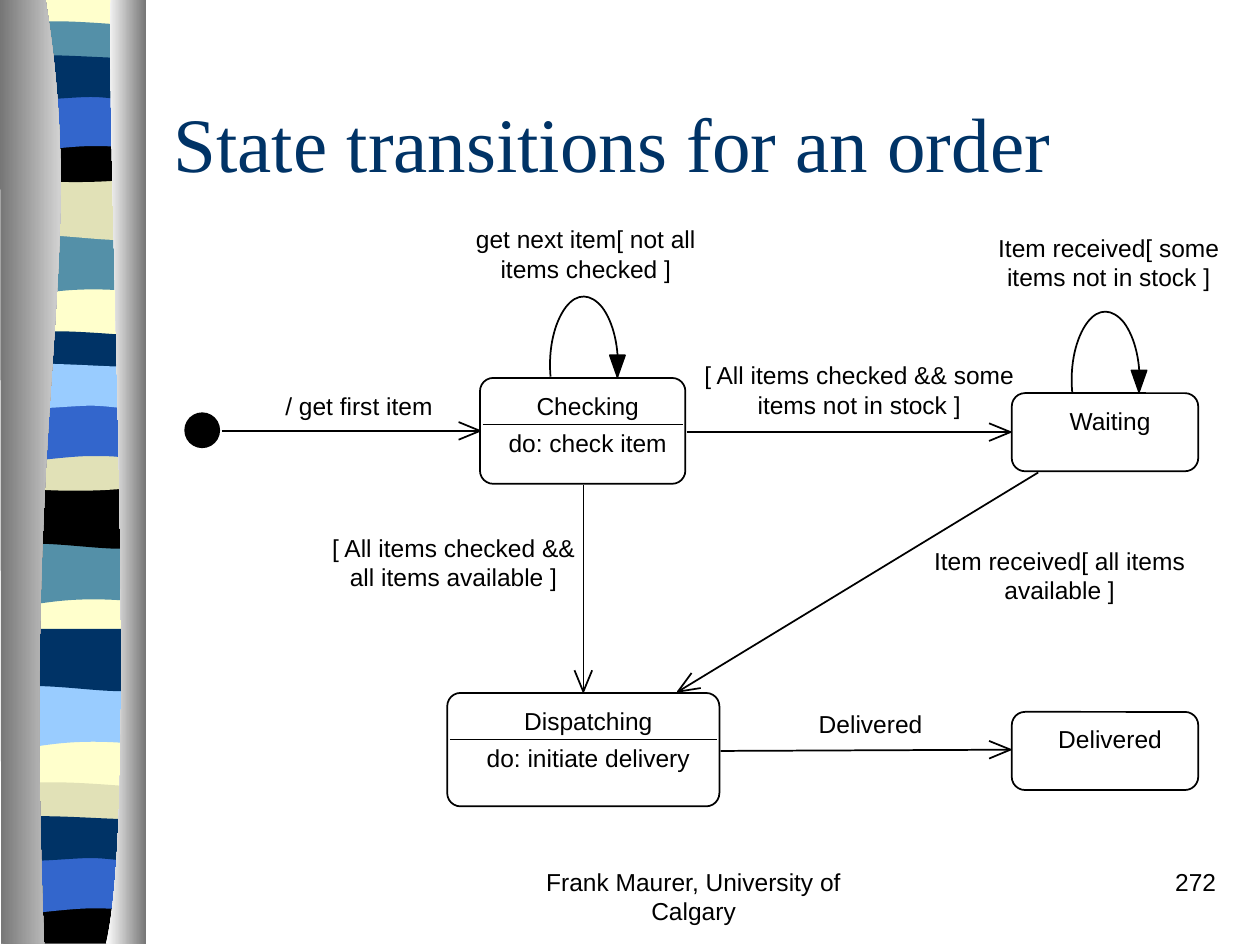
from math import hypot

from lxml.etree import SubElement
from pptx import Presentation
from pptx.dml.color import RGBColor
from pptx.enum.shapes import MSO_CONNECTOR, MSO_SHAPE
from pptx.enum.text import MSO_ANCHOR, PP_ALIGN
from pptx.oxml.ns import qn
from pptx.util import Inches, Pt

BLACK, NAVY, TEAL, BLUE = "000000", "003366", "5490A8", "3366CC"
SKY, SAND, CREAM, GRAY, WHITE = "99CCFF", "E1E1B7", "FFFFCC", "767676", "FFFFFF"

BAND_OUTLINES = {
    "wave": [(1.08, 0), (1.08, 0.47), (0.33, 0.39, 0.18, 0.55, 0, 0.47), (0, 0)],
    "swell": [(1.08, 0), (1.08, 0.47), (0.9, 0.55, 0.33, 0.41, 0, 0.47), (0, 0)],
    "ribbon": [(1.08, 0.05), (1.08, 0.29), (0.9, 0.33, 0.18, 0.33, 0, 0.29), (0, 0.05),
               (0.06, 0, 0.23, 0.01, 0.41, 0.01), (0.59, 0.01, 0.94, 0.04, 1.08, 0.05)],
    "bowl": [(1.08, 0), (1.08, 0.32), (0.9, 0.38, 0.18, 0.38, 0, 0.32), (0, 0),
             (0.66, 0.05, 0.85, 0, 1.08, 0)],
    "arch": [(1.08, 0), (1.08, 0.47), (0.91, 0.42, 0.84, 0.42, 0.66, 0.42),
             (0.48, 0.42, 0.16, 0.47, 0, 0.47), (0, 0)],
    "slab": [(1.08, 0.05), (1.08, 0.36), (1.01, 0.41, 0.84, 0.36, 0.66, 0.36),
             (0.48, 0.36, 0.11, 0.41, 0, 0.36), (0, 0.05),
             (0.15, 0, 0.73, 0.05, 0.91, 0.05), (1.09, 0.05, 1.04, 0.05, 1.08, 0.05)],
    "foot": [(1.08, 0), (1.08, 0.37), (0, 0.37), (0, 0), (0.66, 0.05, 0.85, 0, 1.08, 0)],
    "strip": [(1.08, 0), (1.08, 7.48), (0, 7.48), (0, 0)],
}
BANDS = [
    ("strip", -0.01, CREAM),
    ("wave", 1.85, TEAL), ("swell", 1.41, SAND), ("ribbon", 0.16, TEAL),
    ("bowl", 1.08, BLACK), ("arch", 0.74, BLUE), ("slab", 0.41, NAVY),
    ("wave", 4.31, TEAL), ("swell", 3.86, BLACK), ("ribbon", 2.62, NAVY),
    ("bowl", 3.53, SAND), ("arch", 3.2, BLUE), ("slab", 2.86, SKY),
    ("wave", 5.44, SKY), ("swell", 4.99, NAVY), ("ribbon", 6.2, SAND),
    ("foot", 7.12, BLACK), ("arch", 6.79, BLUE), ("slab", 6.45, NAVY),
]
LEFT_RAIL = [(0.36, 0), (0.71, 2.17, 0.17, 2.97, 0.35, 7.5), (0.01, 7.5), (0, 0)]
RIGHT_RAIL = [(0.04, 0), (0, 1.26, 0.27, 6.47, 0, 7.5), (0.32, 7.5), (0.32, 0)]
LOOP = [(0, 0), (-0.02, -0.22, 0.03, -0.43, 0.12, -0.55),
        (0.21, -0.67, 0.32, -0.66, 0.41, -0.55), (0.5, -0.43, 0.55, -0.22, 0.53, 0)]
LOOP_TIP = [(0.53, 0), (0.59, -0.17), (0.47, -0.17)]


def color(value):
    return RGBColor.from_string(value)


def bend(shape, outline):
    lines = iter(shape._element.findall(".//" + qn("a:lnTo")))
    for segment in outline[1:]:
        line = next(lines)
        if len(segment) == 6:
            line.tag = qn("a:cubicBezTo")
            for extra in (next(lines), next(lines)):
                line.append(extra[0])
                extra.getparent().remove(extra)


def add_outline(slide, left, top, outline, closed=True):
    points = [(Inches(left + x), Inches(top + y))
              for segment in outline for x, y in zip(segment[::2], segment[1::2])]
    builder = slide.shapes.build_freeform(*points[0], scale=1.0)
    builder.add_line_segments(points[1:], close=closed)
    shape = builder.convert_to_shape()
    bend(shape, outline)
    shape.shadow.inherit = False
    shape.line.fill.background()
    return shape


def paint(shape, fill=None, line=None):
    if fill:
        shape.fill.solid()
        shape.fill.fore_color.rgb = color(fill)
    else:
        shape.fill.background()
    if line:
        shape.line.color.rgb = color(line)
        shape.line.width = Pt(1)


def add_rail(slide, left, top, outline, shades):
    rail = add_outline(slide, left, top, outline)
    rail.fill.gradient()
    rail.fill.gradient_angle = 0
    for stop, shade, position in zip(rail.fill.gradient_stops, shades, (0, 1)):
        stop.color.rgb = color(shade)
        stop.position = position


def add_border(slide, left, top):
    for kind, offset, fill in BANDS:
        paint(add_outline(slide, left + 0.06, top + offset, BAND_OUTLINES[kind]), fill)
    add_rail(slide, left, top - 0.01, LEFT_RAIL, (GRAY, WHITE))
    add_rail(slide, left + 0.84, top - 0.01, RIGHT_RAIL, (WHITE, GRAY))


def add_text(slide, left, top, width, height, lines, size=14, face="Arial", ink=BLACK,
             align=PP_ALIGN.CENTER, anchor=MSO_ANCHOR.TOP, inset=(0.1, 0.05)):
    box = slide.shapes.add_textbox(Inches(left), Inches(top), Inches(width), Inches(height))
    frame = box.text_frame
    frame.word_wrap = True
    frame.vertical_anchor = anchor
    frame.margin_left = frame.margin_right = Inches(inset[0])
    frame.margin_top = frame.margin_bottom = Inches(inset[1])
    frame.text = "\n".join(lines)
    for paragraph in frame.paragraphs:
        paragraph.alignment = align
        paragraph.font.size = Pt(size)
        paragraph.font.name = face
        paragraph.font.color.rgb = color(ink)


def add_label(slide, center, top, width, *lines):
    add_text(slide, center - width / 2, top, width, 0.23 * len(lines), lines, inset=(0, 0))


def add_line(slide, start, end):
    line = slide.shapes.add_connector(
        MSO_CONNECTOR.STRAIGHT, *(Inches(value) for value in (*start, *end)))
    line.line.color.rgb = color(BLACK)
    line.line.width = Pt(1)
    SubElement(line._element.spPr, qn("a:effectLst"))


def add_transition(slide, start, end, length=0.17, spread=0.07):
    add_line(slide, start, end)
    (x1, y1), (x2, y2) = start, end
    distance = hypot(x2 - x1, y2 - y1)
    dx, dy = (x2 - x1) / distance, (y2 - y1) / distance
    barbs = [(-length * dx - side * dy, -length * dy + side * dx) for side in (spread, -spread)]
    paint(add_outline(slide, x2, y2, [barbs[0], (0, 0), barbs[1]], closed=False), line=BLACK)


def add_loop(slide, left, base):
    paint(add_outline(slide, left, base, LOOP, closed=False), line=BLACK)
    paint(add_outline(slide, left, base, LOOP_TIP), BLACK, BLACK)


def add_state(slide, left, top, width, height, name, action=None):
    state = slide.shapes.add_shape(MSO_SHAPE.ROUNDED_RECTANGLE, Inches(left), Inches(top),
                                   Inches(width), Inches(height))
    state.shadow.inherit = False
    state.adjustments[0] = 0.105 / height
    paint(state, line=BLACK)
    center = left + width / 2 + 0.04
    add_label(slide, center, top + 0.1, width - 0.3, name)
    if action:
        add_line(slide, (left + 0.02, top + 0.37), (left + width - 0.02, top + 0.37))
        add_label(slide, center, top + 0.4, width - 0.3, action)


def add_diagram(slide, left, top):
    def at(x, y):
        return left + x, top + y

    start = slide.shapes.add_shape(MSO_SHAPE.OVAL, Inches(left), Inches(top + 1.5),
                                   Inches(0.27), Inches(0.27))
    start.shadow.inherit = False
    paint(start, BLACK, BLACK)

    add_state(slide, *at(2.34, 1.22), 1.63, 0.84, "Checking", "do: check item")
    add_state(slide, *at(2.08, 3.72), 2.16, 0.9, "Dispatching", "do: initiate delivery")
    add_state(slide, *at(6.56, 1.34), 1.48, 0.62, "Waiting")
    add_state(slide, *at(6.56, 3.87), 1.48, 0.62, "Delivered")

    for origin, target in [
        ((0.29, 1.64), (2.34, 1.64)),
        ((3.98, 1.65), (6.55, 1.65)),
        ((3.16, 2.07), (3.16, 3.71)),
        ((6.77, 1.97), (3.91, 3.71)),
        ((4.25, 4.18), (6.55, 4.17)),
    ]:
        add_transition(slide, at(*origin), at(*target))
    add_loop(slide, *at(2.9, 1.21))
    add_loop(slide, *at(7.04, 1.33))

    for center, offset, width, *lines in [
        (1.38, 1.32, 1.23, "/ get first item"),
        (3.18, 0, 1.8, "get next item[ not all", "items checked ]"),
        (7.33, 0.07, 1.81, "Item received[ some", "items not in stock ]"),
        (5.35, 1.08, 2.53, "[ All items checked && some", "items not in stock ]"),
        (2.13, 2.45, 1.99, "[ All items checked &&", "all items available ]"),
        (6.94, 2.55, 2.05, "Item received[ all items", "available ]"),
        (5.44, 3.85, 0.86, "Delivered"),
    ]:
        add_label(slide, *at(center, offset), width, *lines)


def add_footer(slide, left, top):
    add_text(slide, left, top, 3.17, 0.5, ["Frank Maurer, University of Calgary"])
    add_text(slide, left + 3.75, top, 2.08, 0.5, ["272"], align=PP_ALIGN.RIGHT)


def main():
    presentation = Presentation()
    presentation.slide_width = Inches(10)
    presentation.slide_height = Inches(7.5)
    slide = presentation.slides.add_slide(presentation.slide_layouts[6])
    add_border(slide, 0, 0)
    add_text(slide, 1.28, 0.5, 8.5, 1.25, ["State transitions for an order"], size=44,
             face="Times New Roman", ink=NAVY, align=PP_ALIGN.LEFT, anchor=MSO_ANCHOR.MIDDLE)
    add_diagram(slide, 1.47, 1.78)
    add_footer(slide, 3.92, 6.83)
    presentation.save("out.pptx")


if __name__ == "__main__":
    main()
